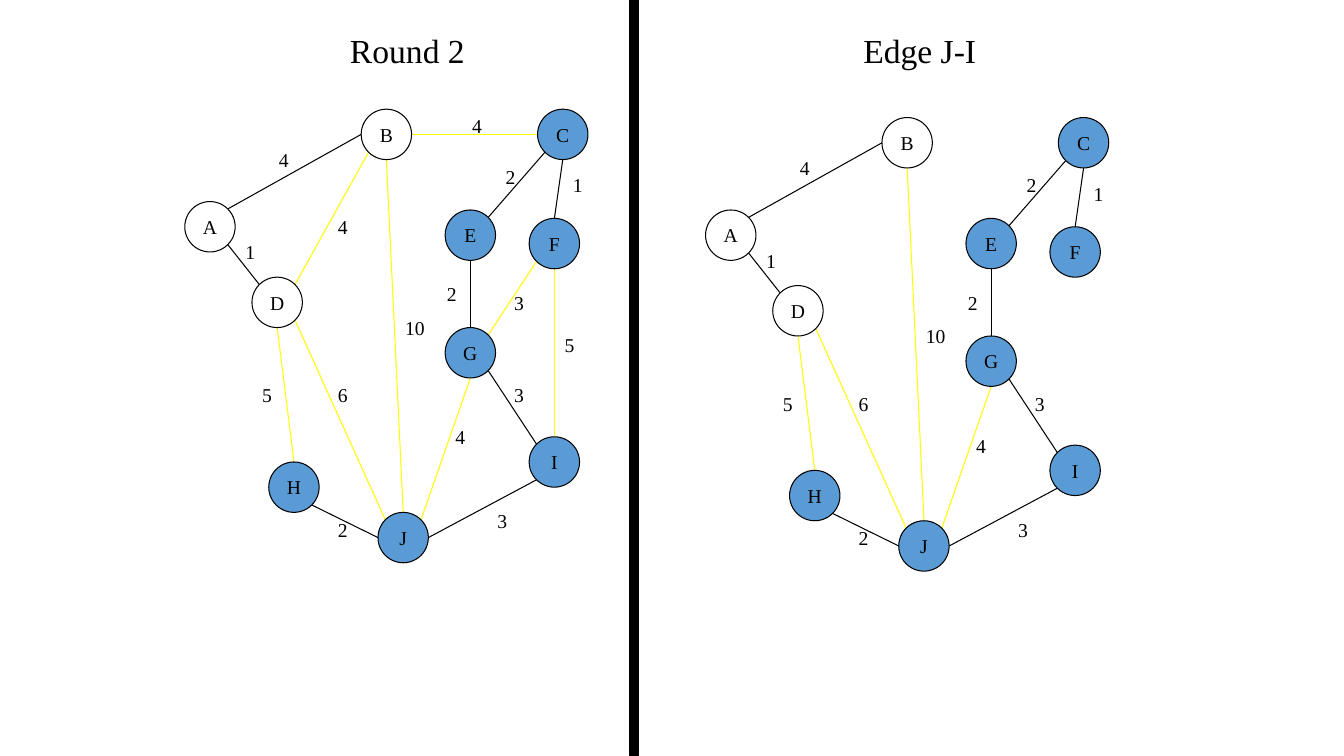
from collections import namedtuple
from dataclasses import dataclass

from lxml import etree
from pptx import Presentation
from pptx.dml.color import RGBColor
from pptx.enum.shapes import MSO_CONNECTOR, MSO_SHAPE
from pptx.enum.text import MSO_ANCHOR, PP_ALIGN
from pptx.oxml.ns import qn
from pptx.util import Cm, Pt

STRAIGHT = MSO_CONNECTOR.STRAIGHT
OVAL = MSO_SHAPE.OVAL
RECTANGLE = MSO_SHAPE.RECTANGLE
CENTER = PP_ALIGN.CENTER
MIDDLE = MSO_ANCHOR.MIDDLE

STEP = Cm(2.54) // 12
NODE_SIZE = 6
DIAGONAL = 0.5 ** 0.5

Box = namedtuple("Box", "left top width height")
Edge = namedtuple("Edge", "start start_side end end_side weight label_at kept")


@dataclass(frozen=True)
class Theme:
    ink: RGBColor = RGBColor(0x00, 0x00, 0x00)
    visited: RGBColor = RGBColor(0x5B, 0x9B, 0xD5)
    candidate: RGBColor = RGBColor(0xFF, 0xFF, 0x00)
    font: str = "Times New Roman"
    heading_size: Pt = Pt(24)
    label_size: Pt = Pt(14)
    line_width: Pt = Pt(0.75)


THEME = Theme()

SIDES = {
    "N": (0, -1), "E": (1, 0), "S": (0, 1), "W": (-1, 0),
    "NE": (DIAGONAL, -DIAGONAL), "SE": (DIAGONAL, DIAGONAL),
    "SW": (-DIAGONAL, DIAGONAL), "NW": (-DIAGONAL, -DIAGONAL),
}

NODES = {
    "A": (0, 11), "B": (21, 0), "C": (42, 0), "D": (8, 20), "E": (31, 12),
    "F": (41, 13), "G": (31, 26), "H": (10, 42), "I": (41, 39), "J": (23, 48),
}
VISITED = set("CEFGHIJ")

EDGES = [
    Edge("A", "NE", "B", "W", "4", (10, 4), True),
    Edge("A", "SE", "D", "NW", "1", (6, 15), True),
    Edge("B", "E", "C", "W", "4", (33, 0), False),
    Edge("B", "SW", "D", "NE", "4", (17, 12), False),
    Edge("B", "S", "J", "N", "10", (25, 24), False),
    Edge("C", "SW", "E", "NE", "2", (37, 6), True),
    Edge("C", "S", "F", "N", "1", (45, 7), True),
    Edge("D", "S", "H", "N", "5", (8, 32), False),
    Edge("D", "SE", "J", "NW", "6", (17, 32), False),
    Edge("E", "S", "G", "N", "2", (30, 20), True),
    Edge("F", "SW", "G", "NE", "3", (38, 21), False),
    Edge("F", "S", "I", "N", "5", (44, 26), False),
    Edge("G", "S", "J", "NE", "4", (31, 37), False),
    Edge("G", "SE", "I", "NW", "3", (38, 32), True),
    Edge("J", "E", "I", "SW", "3", (36, 47), True),
    Edge("J", "W", "H", "SE", "2", (17, 48), True),
]
DROPPED = {"BC", "BD", "FG", "FI"}


def steps(*counts):
    return [round(count * STEP) for count in counts]


def write_text(shape, text, size=THEME.label_size, color=THEME.ink, wrap=True):
    frame = shape.text_frame
    frame.word_wrap = wrap
    frame.vertical_anchor = MIDDLE
    frame.margin_left = frame.margin_right = 0
    frame.margin_top = frame.margin_bottom = 0
    para = frame.paragraphs[0]
    para.alignment = CENTER
    span = para.add_run()
    span.text = text
    span.font.name = THEME.font
    span.font.size = size
    span.font.color.rgb = color


def add_label(page, box, text, **style):
    write_text(page.shapes.add_textbox(*steps(*box)), text, **style)


def add_outlined(page, kind, box, fill=None):
    shape = page.shapes.add_shape(kind, *steps(*box))
    shape.shadow.inherit = False
    if fill is None:
        shape.fill.background()
    else:
        shape.fill.solid()
        shape.fill.fore_color.rgb = fill
    shape.line.color.rgb = THEME.ink
    shape.line.width = THEME.line_width
    return shape


def node_point(box, name, side):
    radius = NODE_SIZE / 2
    return [
        origin + offset + radius * (1 + direction)
        for origin, offset, direction in zip(box[:2], NODES[name], SIDES[side])
    ]


def add_edge(page, box, edge):
    start = node_point(box, edge.start, edge.start_side)
    end = node_point(box, edge.end, edge.end_side)
    line = page.shapes.add_connector(STRAIGHT, *steps(*start, *end))
    line.line.color.rgb = THEME.ink if edge.kept else THEME.candidate
    line.line.width = THEME.line_width
    etree.SubElement(line._element.spPr, qn("a:effectLst"))


def add_graph(page, box, dropped=frozenset()):
    edges = [edge for edge in EDGES if edge.start + edge.end not in dropped]
    for edge in edges:
        add_edge(page, box, edge)
    for name, (across, down) in NODES.items():
        place = Box(box.left + across, box.top + down, NODE_SIZE, NODE_SIZE)
        fill = THEME.visited if name in VISITED else None
        write_text(add_outlined(page, OVAL, place, fill), name, wrap=False)
    for edge in edges:
        across, down = edge.label_at
        width = 2.4 + 1.2 * len(edge.weight)
        place = Box(box.left + across, box.top + down, width, 4)
        add_label(page, place, edge.weight, wrap=False)


def build_round_slide(page, box):
    add_graph(page, Box(box.left + 22, box.top + 13, 48, 54))
    add_graph(page, Box(box.left + 84, box.top + 14, 48, 54), DROPPED)
    add_outlined(page, RECTANGLE, Box(box.left + 75, box.top, 1, box.height), THEME.ink)
    for left, heading in ((31, "Round 2"), (92, "Edge J-I")):
        place = Box(box.left + left, box.top + 3, 35, 6)
        add_label(page, place, heading, size=THEME.heading_size)


def main():
    deck = Presentation()
    slide_box = Box(0, 0, 160, 90)
    deck.slide_width, deck.slide_height = steps(slide_box.width, slide_box.height)
    page = deck.slides.add_slide(deck.slide_layouts[6])
    build_round_slide(page, slide_box)
    deck.save("out.pptx")


if __name__ == "__main__":
    main()
